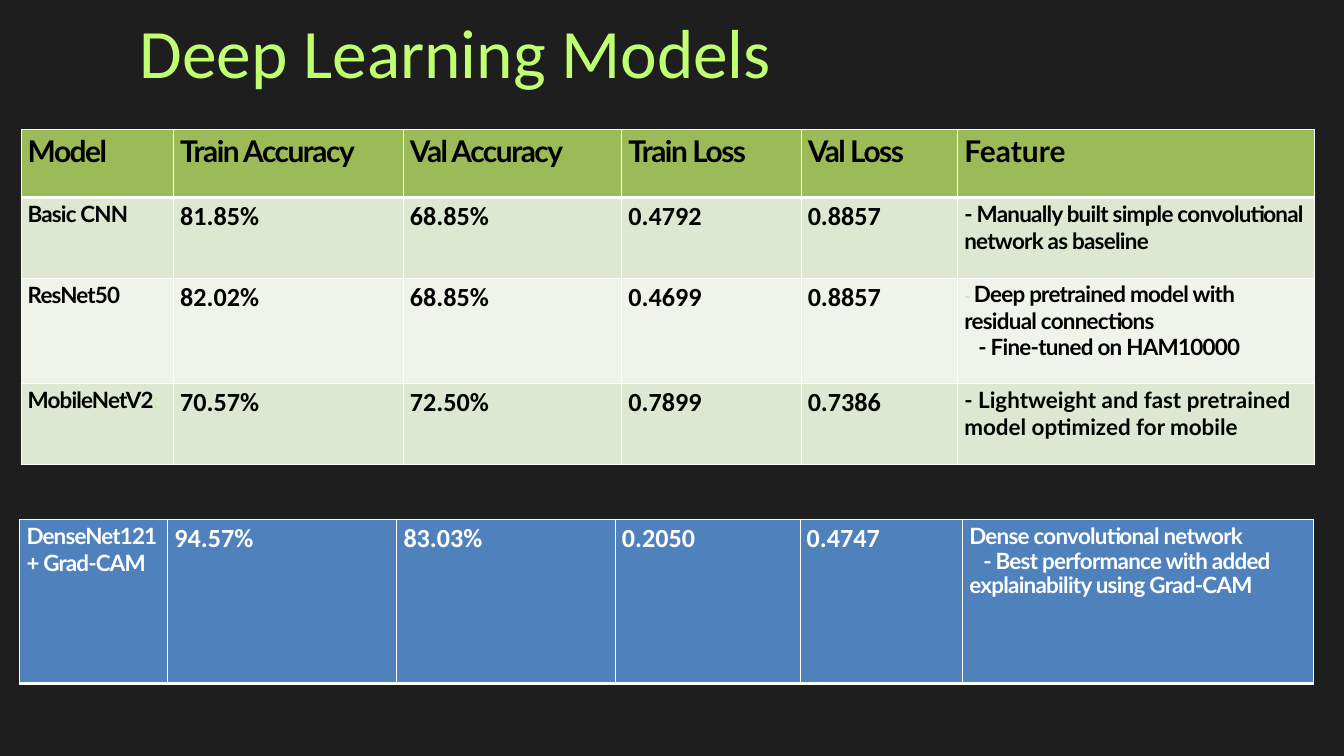
from lxml import etree
from pptx import Presentation
from pptx import util as u
from pptx.dml.color import RGBColor
from pptx.enum import text
from pptx.oxml import ns

Pt = u.Pt

DARK = RGBColor(0x1E, 0x1E, 0x1E)
LIME = RGBColor(0xC1, 0xFF, 0x72)
GREEN = RGBColor(0x9B, 0xBB, 0x59)
PALE = RGBColor(0xDE, 0xE7, 0xD1)
PALER = RGBColor(0xEF, 0xF3, 0xEA)
BLUE = RGBColor(0x4F, 0x81, 0xBD)
GREY = RGBColor(0xD9, 0xD9, 0xD9)
BLACK = RGBColor(0, 0, 0)
WHITE = RGBColor(0xFF, 0xFF, 0xFF)

# Text formats: font attributes, plus letter spacing in points
TITLE = dict(name="Calibri", size=Pt(74.3), bold=False, spacing=0)
HEADER = dict(name="Lato", size=Pt(32), bold=True, spacing=-1.6)
LAST_HEADER = dict(HEADER, spacing=0)
MODEL = dict(name="Lato", size=Pt(24), bold=True, spacing=-0.9)
NUMBER = dict(name="Calibri", size=Pt(28), bold=True, spacing=0)
FEATURE = dict(MODEL, spacing=-0.8)
WIDE_FEATURE = dict(MODEL, spacing=0)
SMALL_DASH = dict(FEATURE, size=Pt(18), color=GREY)


class SlideBuilder:
    """Holds the current slide and its border style."""

    border_color = WHITE
    thin, thick = 1, 3

    def __init__(self, slide):
        self.slide = slide

    def background(self, color):
        fill = self.slide.background.fill
        fill.solid()
        fill.fore_color.rgb = color

    def run(self, paragraph, words, style, color):
        run = paragraph.add_run()
        run.text = words
        values = dict(style)
        run.font.color.rgb = values.pop("color", color)
        run._r.get_or_add_rPr().set("spc", str(round(values.pop("spacing") * 100)))
        for key, value in values.items():
            setattr(run.font, key, value)

    def paragraphs(self, frame, content, color):
        """Each paragraph is (runs, line spacing, first-line indent)."""
        for index, (runs, leading, indent) in enumerate(content):
            paragraph = frame.add_paragraph() if index else frame.paragraphs[0]
            if leading:
                paragraph.line_spacing = Pt(leading)
            if indent:
                properties = paragraph._p.get_or_add_pPr()
                properties.set("marL", "0")
                properties.set("indent", str(Pt(indent)))
            for words, style in runs:
                self.run(paragraph, words, style, color)

    def title(self, words, left, top, width, height):
        box = self.slide.shapes.add_textbox(Pt(left), Pt(top), Pt(width), Pt(height))
        frame = box.text_frame
        settings = dict(word_wrap=True, auto_size=text.MSO_AUTO_SIZE.SHAPE_TO_FIT_TEXT,
                        margin_left=0, margin_right=0, margin_top=0, margin_bottom=0)
        for key, value in settings.items():
            setattr(frame, key, value)
        self.paragraphs(frame, [([(words, TITLE)], 66.8, 0)], LIME)

    def borders(self, cell, top, bottom):
        properties = cell._tc.get_or_add_tcPr()
        widths = dict(lnL=self.thin, lnR=self.thin, lnT=top, lnB=bottom)
        for tag, width in widths.items():
            line = etree.SubElement(properties, ns.qn("a:" + tag), w=str(Pt(width)))
            fill = etree.SubElement(line, ns.qn("a:solidFill"))
            etree.SubElement(fill, ns.qn("a:srgbClr"), val=str(self.border_color))

    def table(self, left, top, widths, heights, rows, fills, color):
        """The first row has a thick line below it."""
        frame = self.slide.shapes.add_table(
            len(rows), len(widths), Pt(left), Pt(top), Pt(sum(widths)), Pt(sum(heights)))
        table = frame.table
        table.first_row = table.horz_banding = False
        for column, width in zip(table.columns, widths):
            column.width = Pt(width)
        for index, (row, height, fill) in enumerate(zip(rows, heights, fills)):
            table.rows[index].height = Pt(height)
            for cell, content in zip(table.rows[index].cells, row):
                self.borders(cell, self.thick if index == 1 else self.thin,
                             self.thick if index == 0 else self.thin)
                cell.fill.solid()
                cell.fill.fore_color.rgb = fill
                self.paragraphs(cell.text_frame, content, color)


def plain(words, style):
    return [([(words, style)], None, 0)]


def model_row(name, numbers, feature):
    return [name, *(plain(number, NUMBER) for number in numbers), feature]


def main():
    presentation = Presentation()
    presentation.slide_width, presentation.slide_height = Pt(1440), Pt(810)
    builder = SlideBuilder(presentation.slides.add_slide(presentation.slide_layouts[6]))
    builder.background(DARK)
    builder.title("Deep Learning Models", 149.8, 32.4, 1386, 167.8)

    # Comparison of the baseline models
    headings = ["Model", "Train Accuracy", "Val Accuracy", "Train Loss", "Val Loss"]
    rows = [
        [*(plain(heading, HEADER) for heading in headings), plain("Feature", LAST_HEADER)],
        model_row(plain("Basic CNN", MODEL), ["81.85%", "68.85%", "0.4792", "0.8857"],
                  plain("- Manually built simple convolutional network as baseline", FEATURE)),
        model_row(plain("ResNet50", MODEL), ["82.02%", "68.85%", "0.4699", "0.8857"],
                  [([("- ", SMALL_DASH),
                     ("Deep pretrained model with residual connections", FEATURE)], 28, 0),
                   ([("- Fine-tuned on HAM10000", FEATURE)], 28, 15)]),
        model_row([([("MobileNetV2", MODEL), (":", dict(MODEL, color=LIME))], None, 0)],
                  ["70.57%", "72.50%", "0.7899", "0.7386"],
                  plain("- Lightweight and fast pretrained model optimized for mobile",
                        WIDE_FEATURE)),
    ]
    builder.table(22.5, 138.4, [163.4, 246.2, 234, 192.2, 167.8, 382.3],
                  [73, 86.8, 112.4, 86.8], rows, [GREEN, PALE, PALER, PALE], BLACK)

    # Best model
    best = model_row(
        plain("DenseNet121 + Grad-CAM", MODEL), ["94.57%", "83.03%", "0.2050", "0.4747"],
        [([("Dense convolutional network", FEATURE)], 28, 0),
         ([("- Best performance with added explainability using Grad-CAM", FEATURE)], 26.6, 15)])
    builder.table(21.3, 556.6, [158.4, 245.5, 234, 198, 174.2, 375.8],
                  [175.7], [best], [BLUE], WHITE)

    presentation.save("out.pptx")


if __name__ == "__main__":
    main()
